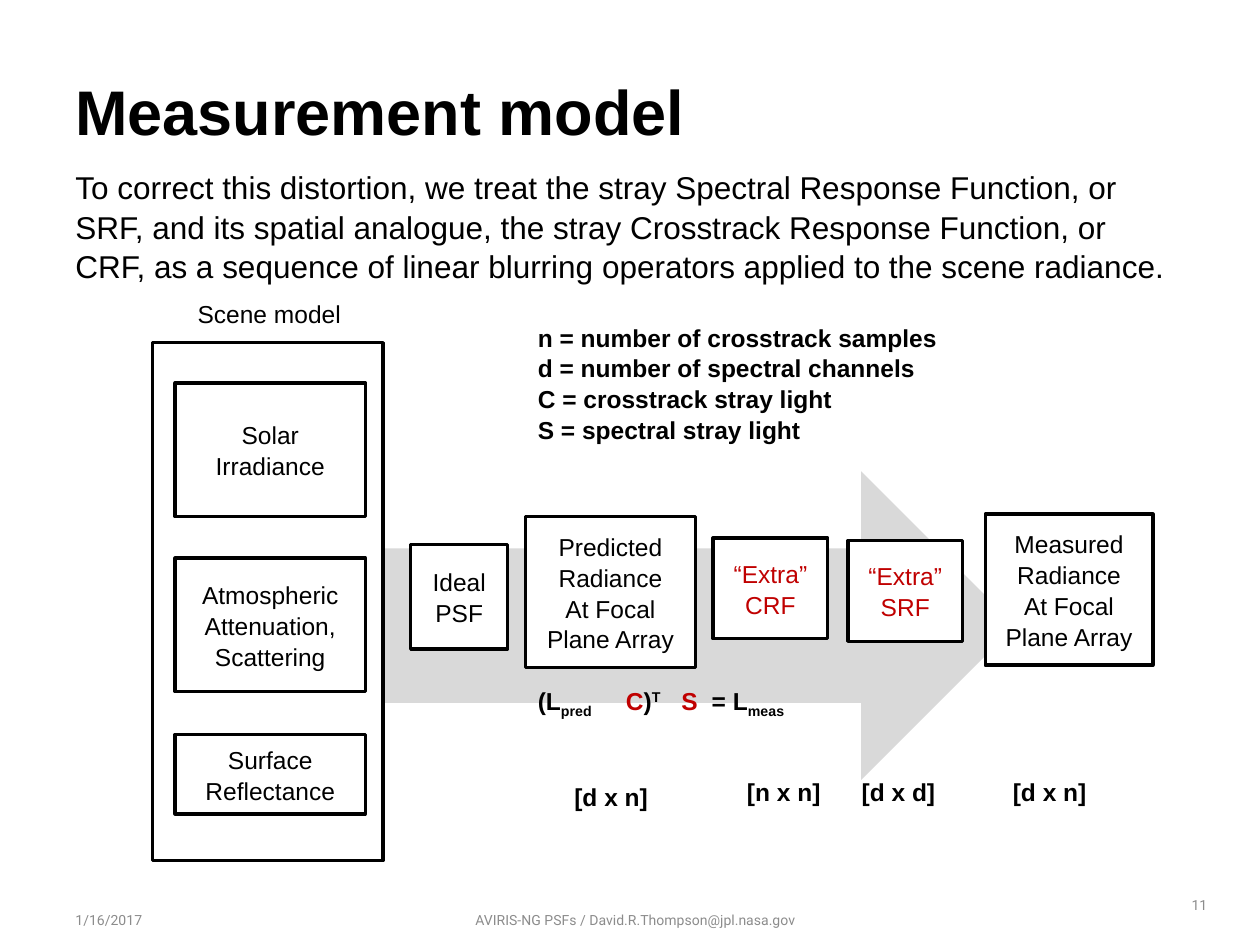
from lxml.etree import SubElement
from pptx import Presentation
from pptx.dml.color import RGBColor
from pptx.enum.shapes import MSO_SHAPE
from pptx.enum.text import MSO_ANCHOR, PP_ALIGN
from pptx.oxml.ns import qn
from pptx.util import Emu, Pt

SCALE = 9144
BLACK, WHITE, RED = "000000", "FFFFFF", "C00000"
GREY, PALE = "8C8C8C", "D9D9D9"
LEFT, MID, RIGHT = PP_ALIGN.LEFT, PP_ALIGN.CENTER, PP_ALIGN.RIGHT


def px(*vals):
    """Turn px lengths into EMU."""
    return [Emu(val * SCALE) for val in vals]


def hue(code):
    """Turn a hex string into a colour."""
    return RGBColor.from_string(code)


def style(par, size, color, bold=False, face="Arial", align=LEFT):
    """Set the look of one paragraph."""
    par.alignment = align
    par.line_spacing = 1.05
    font = par.font
    font.size, font.bold, font.name = Pt(size), bold, face
    font.color.rgb = hue(color)


def write(frame, lines, size, color, **look):
    """Fill a text frame, one paragraph a line."""
    for num, line in enumerate(lines):
        par = frame.add_paragraph() if num else frame.paragraphs[0]
        par.text = line
        style(par, size, color, **look)


def label(slide, at, lines, size=14, color=BLACK, wrap=True,
          anchor=MSO_ANCHOR.TOP, **look):
    """Add a text box."""
    frame = slide.shapes.add_textbox(*px(*at)).text_frame
    frame.word_wrap = wrap
    frame.vertical_anchor = anchor
    write(frame, lines, size, color, **look)


def block(slide, at, lines=(), color=BLACK):
    """Add a white box with a black outline and centred text."""
    shape = slide.shapes.add_shape(MSO_SHAPE.RECTANGLE, *px(*at))
    shape.shadow.inherit = False
    shape.fill.solid()
    shape.fill.fore_color.rgb = hue(WHITE)
    shape.line.color.rgb = hue(BLACK)
    shape.line.width = Pt(2)
    shape.text_frame.vertical_anchor = MSO_ANCHOR.MIDDLE
    write(shape.text_frame, lines, 14, color, align=MID)


def arrow(slide, at):
    """Add the broad pale arrow."""
    shape = slide.shapes.add_shape(MSO_SHAPE.RIGHT_ARROW, *px(*at))
    shape.shadow.inherit = False
    shape.fill.solid()
    shape.fill.fore_color.rgb = hue(PALE)
    shape.line.fill.background()


def formula(slide, at, parts, stops):
    """Add a line of raised, lowered and coloured parts on tab stops."""
    frame = slide.shapes.add_textbox(*px(*at)).text_frame
    frame.word_wrap = True
    par = frame.paragraphs[0]
    tabs = SubElement(par._p.get_or_add_pPr(), qn("a:tabLst"))
    for stop in px(*stops):
        SubElement(tabs, qn("a:tab"), pos=str(stop), algn="l")
    style(par, 14, BLACK, bold=True)
    for text, shift, color in parts:
        run = par.add_run()
        run.text = text
        run.font.color.rgb = hue(color)
        if shift:
            run._r.get_or_add_rPr().set("baseline", str(shift * 1000))


def footer(slide):
    """Add the date, the credit and the page number."""
    for at, text, align in (
        ((50, 710, 148, 40), "1/16/2017", LEFT),
        ((206, 710, 597, 40),
         "AVIRIS-NG PSFs / David.R.Thompson@jpl.nasa.gov", MID),
        ((829, 698, 139, 40), "11", RIGHT),
    ):
        label(slide, at, [text], 8, GREY, anchor=MSO_ANCHOR.MIDDLE,
              face="Roboto", align=align)


def scene(slide):
    """Add the scene model and its three parts."""
    label(slide, (147, 231, 134, 34), ["Scene model"], wrap=False)
    block(slide, (121, 272, 183, 411))
    for top, high, text in (
        (304, 106, "Solar Irradiance"),
        (443, 106, "Atmospheric Attenuation, Scattering"),
        (583, 63, "Surface Reflectance"),
    ):
        block(slide, (139, top, 151, high), [text])


def chain(slide):
    """Add the steps along the arrow."""
    focal = "At Focal Plane Array"
    block(slide, (326, 432, 77, 83), ["Ideal PSF"])
    block(slide, (417, 410, 135, 120), ["Predicted Radiance", focal])
    block(slide, (566, 427, 91, 80), ["“Extra” CRF"], RED)
    block(slide, (673, 429, 91, 80), ["“Extra” SRF"], RED)
    block(slide, (782, 408, 133, 120), ["Measured Radiance", focal])


def maths(slide):
    """Add the equation, the sizes of its terms and the key."""
    formula(slide, (417, 538, 226, 34), (
        ("(L", 0, BLACK), ("pred", -25, BLACK), ("\tC", 0, RED),
        (")", 0, BLACK), ("T", 30, BLACK), ("\tS", 0, RED),
        ("\t= L", 0, BLACK), ("meas", -25, BLACK),
    ), (70, 114, 138))
    for left, top, text in (
        (446, 615, "[d x n]"), (583, 611, "[n x n]"),
        (674, 611, "[d x d]"), (794, 611, "[d x n]"),
    ):
        label(slide, (left, top, 121, 34), [text], bold=True)
    label(slide, (417, 250, 410, 104), [
        "n = number of crosstrack samples",
        "d = number of spectral channels",
        "C = crosstrack stray light",
        "S = spectral stray light",
    ], bold=True)


def main():
    """Build the slide and save it."""
    deck = Presentation()
    deck.slide_width, deck.slide_height = px(1000, 750)
    slide = deck.slides.add_slide(deck.slide_layouts[6])
    footer(slide)
    label(slide, (50, 50, 900, 48), ["Measurement model"], 36, bold=True)
    label(slide, (50, 127, 900, 101), [
        "To correct this distortion, we treat the stray Spectral Response "
        "Function, or SRF, and its spatial analogue, the stray Crosstrack "
        "Response Function, or CRF, as a sequence of linear blurring "
        "operators applied to the scene radiance."], 18)
    arrow(slide, (299, 374, 507, 245))
    scene(slide)
    chain(slide)
    maths(slide)
    deck.save("out.pptx")


if __name__ == "__main__":
    main()
